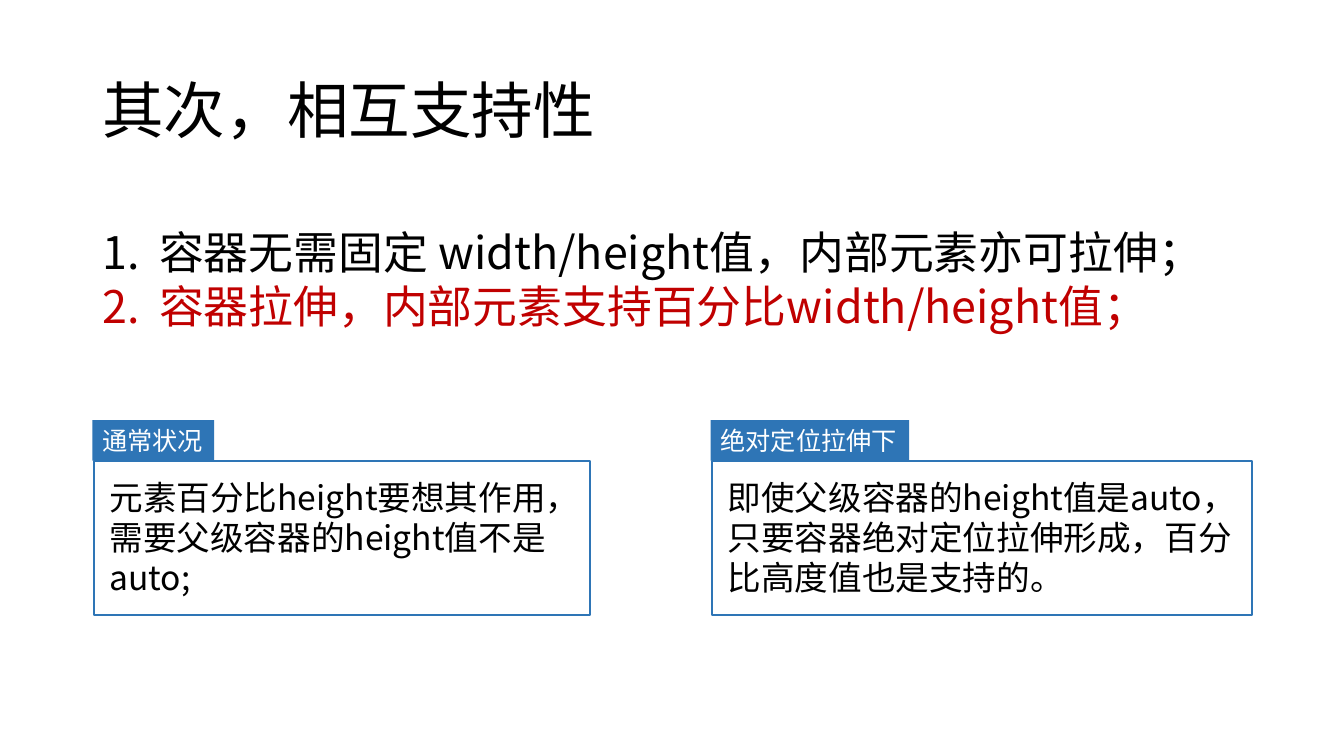
from typing import NamedTuple, Optional

from lxml import etree
from pptx import Presentation
from pptx import util as u
from pptx.dml.color import RGBColor
from pptx.enum import shapes, text
from pptx.oxml import ns

FONT = "Noto Sans CJK SC"
BLACK, WHITE, RED, BLUE = "000000", "FFFFFF", "C00000", "2E75B6"
LEFT = 2.33
TAG_TOP, TAG_HEIGHT, BODY_HEIGHT = 10.59, 1.02, 3.89
BODY_SHIFT = 0.03


class Case(NamedTuple):
    """A labelled box; lengths in centimetres."""
    left: float
    tag: str
    tag_width: float
    body: str
    body_width: float


POINTS = [
    ("容器无需固定 width/height值，内部元素亦可拉伸；", BLACK),
    ("容器拉伸，内部元素支持百分比width/height值；", RED),
]
CASES = [
    Case(LEFT, "通常状况", 3.07,
         "元素百分比height要想其作用，需要父级容器的height值不是auto;", 12.5),
    Case(17.91, "绝对定位拉伸下", 5.0,
         "即使父级容器的height值是auto，只要容器绝对定位拉伸形成，百分比高度值也是支持的。", 13.61),
]


def rgb(value: str) -> RGBColor:
    """Turn a hex string into a colour."""
    return RGBColor.from_string(value)


def write(p, words: str, size: int, color: str) -> None:
    """Put styled text into a paragraph."""
    p.text = words
    p.alignment = text.PP_ALIGN.LEFT
    p.font.size = u.Pt(size)
    p.font.name = FONT
    p.font.color.rgb = rgb(color)
    props = p._p.get_or_add_pPr().get_or_add_defRPr()
    props.find(ns.qn("a:latin")).addnext(
        etree.Element(ns.qn("a:ea"), typeface=FONT))


def number(p, indent: float) -> None:
    """Give a paragraph an automatic number and a hanging indent."""
    props = p._p.get_or_add_pPr()
    props.set("marL", str(u.Cm(indent)))
    props.set("indent", str(-u.Cm(indent)))
    bullet = etree.Element(ns.qn("a:buAutoNum"), type="arabicPeriod")
    props.insert_element_before(bullet, "a:tabLst", "a:defRPr", "a:extLst")


def add_text(slide, left: float, top: float, width: float, height: float):
    """Add a wrapping text box and return its text frame."""
    sp = slide.shapes.add_textbox(u.Cm(left), u.Cm(top), u.Cm(width), u.Cm(height))
    tf = sp.text_frame
    tf.word_wrap = True
    return tf


def add_box(group, left: float, top: float, width: float, height: float,
            words: str, size: int, color: str,
            fill: Optional[str] = None, margin: Optional[float] = None) -> None:
    """Add a filled label, or an outlined box when no fill is given."""
    sp = group.shapes.add_shape(shapes.MSO_SHAPE.RECTANGLE, u.Cm(left),
                                u.Cm(top), u.Cm(width), u.Cm(height))
    sp.shadow.inherit = False
    if fill:
        sp.fill.solid()
        sp.fill.fore_color.rgb = rgb(fill)
        sp.line.fill.background()
    else:
        sp.fill.background()
        sp.line.color.rgb = rgb(BLUE)
        sp.line.width = u.Pt(1.5)
    tf = sp.text_frame
    tf.word_wrap = fill is None
    tf.vertical_anchor = text.MSO_ANCHOR.TOP
    if margin is not None:
        tf.margin_left = tf.margin_right = u.Cm(margin)
        tf.margin_top = tf.margin_bottom = u.Cm(margin)
    write(tf.paragraphs[0], words, size, color)


def add_case(slide, case: Case) -> None:
    """Group a label with the box below it."""
    group = slide.shapes.add_group_shape()
    add_box(group, case.left, TAG_TOP, case.tag_width, TAG_HEIGHT,
            case.tag, 18, WHITE, fill=BLUE)
    add_box(group, case.left + BODY_SHIFT, TAG_TOP + TAG_HEIGHT,
            case.body_width, BODY_HEIGHT, case.body, 24, BLACK, margin=0.4)


prs = Presentation()
prs.slide_width, prs.slide_height = u.Cm(33.87), u.Cm(19.05)
slide = prs.slides.add_slide(prs.slide_layouts[6])

title = add_text(slide, LEFT, 1.01, 29.21, 3.68)
title.vertical_anchor = text.MSO_ANCHOR.MIDDLE
write(title.paragraphs[0], "其次，相互支持性", 44, BLACK)
title.paragraphs[0].line_spacing = 0.9

points = add_text(slide, LEFT, 5.54, 28.58, 3.0)
for i, (words, color) in enumerate(POINTS):
    p = points.add_paragraph() if i else points.paragraphs[0]
    write(p, words, 32, color)
    number(p, 1.43)

for case in CASES:
    add_case(slide, case)

prs.save("out.pptx")
